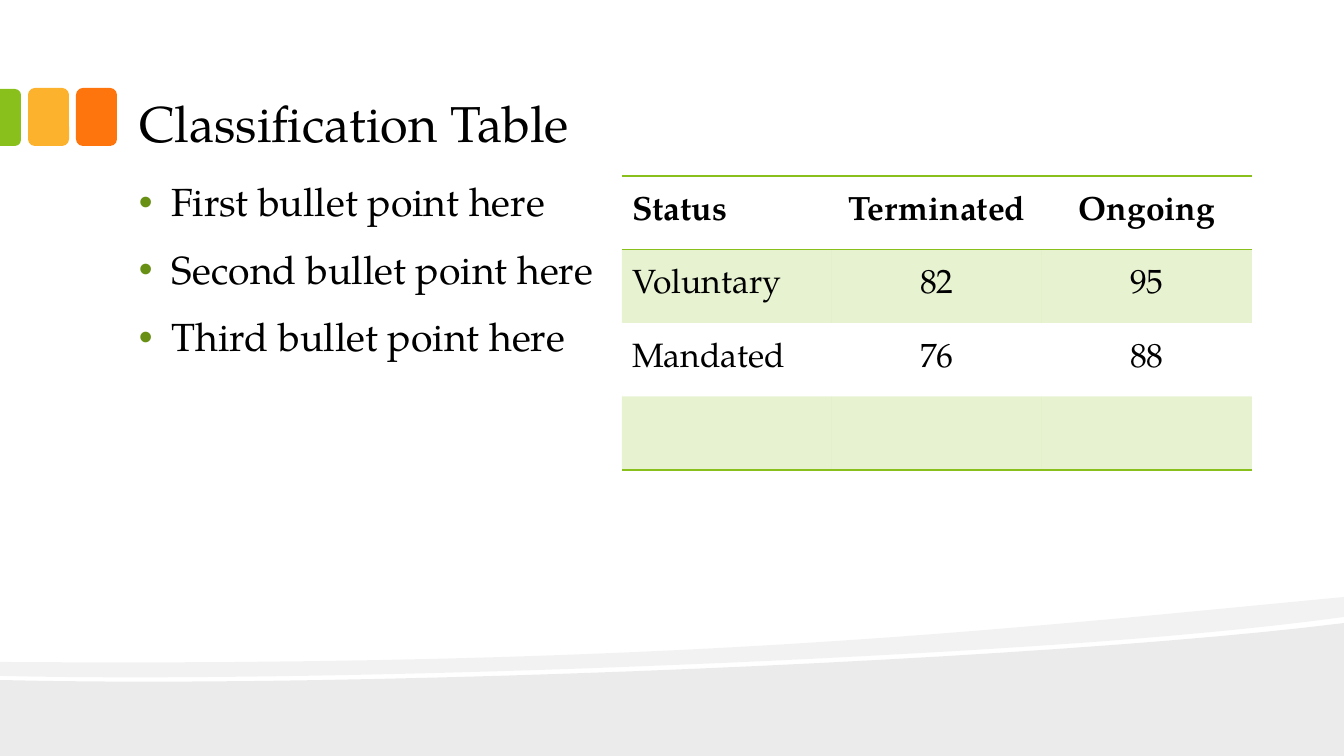
from lxml import etree
from pptx import Presentation
from pptx.dml.color import RGBColor
from pptx.enum.shapes import MSO_SHAPE
from pptx.enum.text import MSO_ANCHOR, MSO_AUTO_SIZE, PP_ALIGN
from pptx.oxml.ns import qn
from pptx.util import Emu, Pt

ROUND, ROUND_TOP = MSO_SHAPE.ROUNDED_RECTANGLE, MSO_SHAPE.ROUND_2_SAME_RECTANGLE
LEFT, CENTER = PP_ALIGN.LEFT, PP_ALIGN.CENTER
MIDDLE, BOTTOM, TOP = MSO_ANCHOR.MIDDLE, MSO_ANCHOR.BOTTOM, MSO_ANCHOR.TOP
PX = 12192000 / 1344
FONT = "TeX Gyre Pagella"
BLACK = RGBColor(0x00, 0x00, 0x00)
GREEN = RGBColor(0x89, 0xC0, 0x1C)
YELLOW = RGBColor(0xFC, 0xB2, 0x2C)
ORANGE = RGBColor(0xFE, 0x75, 0x0E)
BULLET_GREEN = RGBColor(0x67, 0x90, 0x15)
NO_STYLE = "{2D5ABB26-0587-4C30-8999-92F81FD0307C}"


def px(*lengths):
    return [Emu(round(length * PX)) for length in lengths]


def tint(target, color, percent):
    """Fill a shape or cell with a see-through colour."""
    target.fill.solid()
    target.fill.fore_color.rgb = color
    holder = target._tc.tcPr if hasattr(target, "_tc") else target._element.spPr
    color_node = holder.find(qn("a:solidFill"))[0]
    etree.SubElement(color_node, qn("a:alpha"), val=str(percent * 1000))


prs = Presentation()
prs.slide_width, prs.slide_height = px(1344, 756)
slide = prs.slides.add_slide(prs.slide_layouts[5])
shapes = slide.shapes

# Waves: a point is a corner, three points are a Bézier curve
waves = [
    (8, [[(1344, 623)], [(1344, 756)], [(0, 756)], [(0, 680)],
         [(355, 689), (1050, 660), (1344, 623)]]),
    (5, [[(1344, 597)], [(1344, 617)],
         [(1265, 628), (1157, 638), (1037, 646)],
         [(704, 668), (260, 682), (0, 676)], [(0, 662)],
         [(657, 667), (979, 632), (1344, 597)]]),
]
STEPS = 24
for opacity, segments in waves:
    points = []
    for segment in segments:
        if len(segment) == 1:
            points += segment
            continue
        controls = [points[-1], *segment]
        for step in range(1, STEPS + 1):
            t = step / STEPS
            weights = ((1 - t) ** 3, 3 * t * (1 - t) ** 2, 3 * t * t * (1 - t), t ** 3)
            points.append(tuple(sum(w * c[axis] for w, c in zip(weights, controls))
                                for axis in (0, 1)))
    builder = shapes.build_freeform(*px(*points[0]))
    builder.add_line_segments([px(*point) for point in points[1:]], close=True)
    wave = builder.convert_to_shape()
    tint(wave, BLACK, opacity)
    wave.line.fill.background()
    wave.shadow.inherit = False

# Coloured tabs
for preset, box, rotation, color in [
    (ROUND, (76, 88, 41, 58), 0, ORANGE),
    (ROUND, (28, 88, 41, 58), 0, YELLOW),
    (ROUND_TOP, (-18, 107, 57, 21), 90, GREEN),
]:
    tab = shapes.add_shape(preset, *px(*box))
    tab.rotation = rotation
    tab.fill.solid()
    tab.fill.fore_color.rgb = color
    tab.line.fill.background()
    tab.shadow.inherit = False
    if preset == ROUND_TOP:
        tab.adjustments[0] = 0.29

# Title and bullet list
title = shapes.title
title.left, title.top, title.width, title.height = px(126, 17, 1075, 143)
bullets = shapes.add_textbox(*px(126, 176, 537, 504))
inset_x, inset_y = px(13, 7)
for box, anchor, size, lines in [
    (title, BOTTOM, 36, ["Classification Table"]),
    (bullets, TOP, 28, ["First bullet point here", "Second bullet point here",
                        "Third bullet point here"]),
]:
    frame = box.text_frame
    frame.text = "\n".join(lines)
    for name, value in {"word_wrap": True, "auto_size": MSO_AUTO_SIZE.NONE,
                        "vertical_anchor": anchor,
                        "margin_left": inset_x, "margin_right": inset_x,
                        "margin_top": inset_y, "margin_bottom": inset_y}.items():
        setattr(frame, name, value)
    for paragraph in frame.paragraphs:
        paragraph.alignment = LEFT
        paragraph.font.name, paragraph.font.size = FONT, Pt(size)
        paragraph.font.color.rgb = BLACK

indent = px(33)[0]
for paragraph in bullets.text_frame.paragraphs:
    paragraph.line_spacing = 0.9
    paragraph.space_before = Pt(18)
    props = paragraph._p.get_or_add_pPr()
    props.set("marL", str(indent))
    props.set("indent", str(-indent))
    bullet_color = etree.Element(qn("a:buClr"))
    etree.SubElement(bullet_color, qn("a:srgbClr"), val=str(BULLET_GREEN))
    bullet_font = etree.Element(qn("a:buFont"), typeface="Arial")
    bullet_mark = etree.Element(qn("a:buChar"), char="•")
    defaults = props.find(qn("a:defRPr"))
    for node in (bullet_color, bullet_font, bullet_mark):
        defaults.addprevious(node)

# Classification table
rows = [
    ("Status", "Terminated", "Ongoing"),
    ("Voluntary", "82", "95"),
    ("Mandated", "76", "88"),
    ("", "", ""),
]
table = shapes.add_table(len(rows), 3, *px(622, 176, 630, 294)).table
table.horz_banding = False
table._tbl.tblPr.find(qn("a:tableStyleId")).text = NO_STYLE
borders = {0: ("a:lnT", "a:lnB"), len(rows) - 1: ("a:lnB",)}
for r, row in enumerate(rows):
    for c, text in enumerate(row):
        cell = table.cell(r, c)
        cell.vertical_anchor = MIDDLE
        cell.text = text
        paragraph = cell.text_frame.paragraphs[0]
        paragraph.alignment = CENTER if c else LEFT
        for name, value in {"name": FONT, "size": Pt(24), "bold": r == 0}.items():
            setattr(paragraph.font, name, value)
        paragraph.font.color.rgb = BLACK
        for edge in borders.get(r, ()):
            line = etree.SubElement(cell._tc.tcPr, qn(edge), w=str(Pt(1)))
            line_fill = etree.SubElement(line, qn("a:solidFill"))
            etree.SubElement(line_fill, qn("a:srgbClr"), val=str(GREEN))
        if r % 2:
            tint(cell, GREEN, 20)
        else:
            cell.fill.background()

prs.save("out.pptx")
